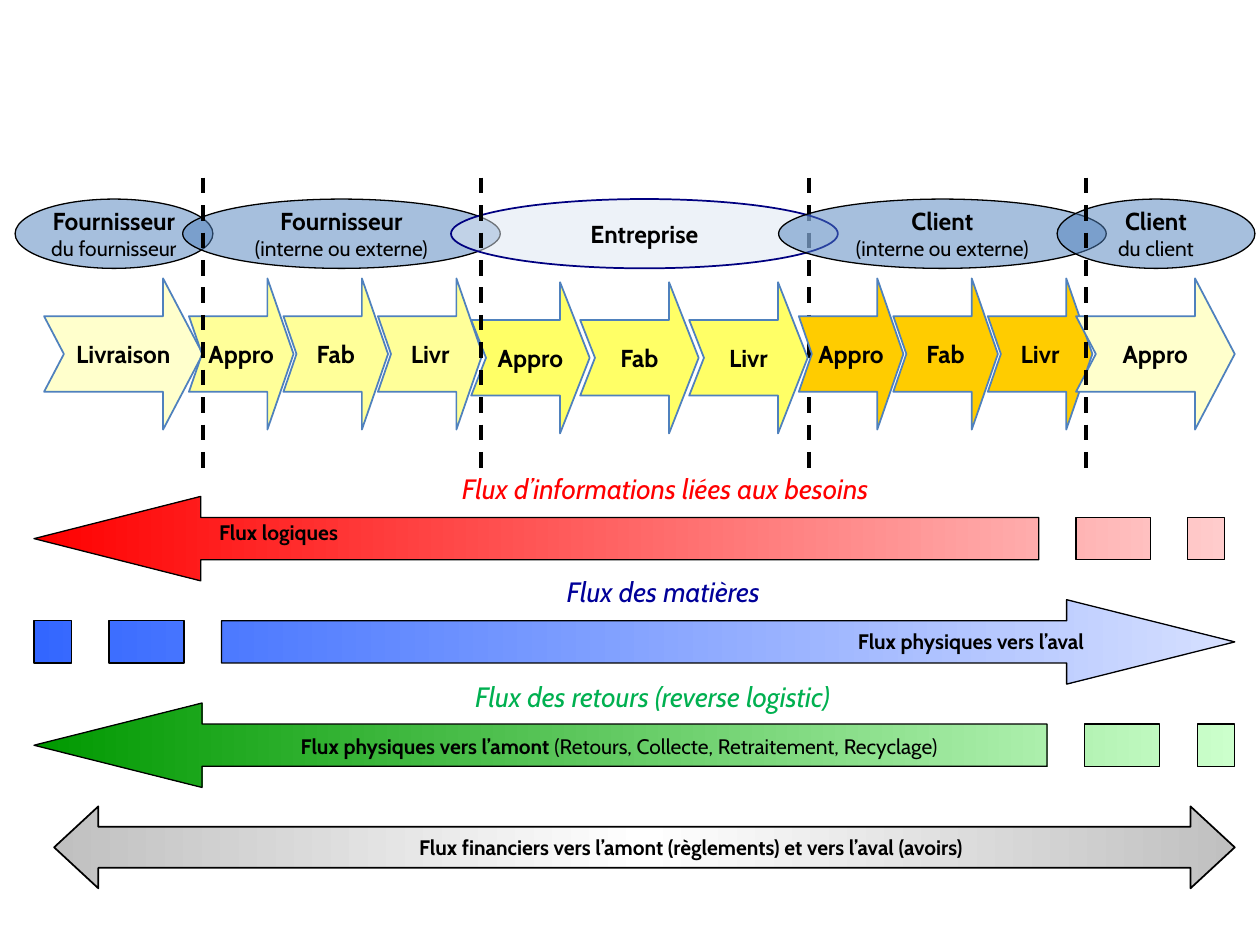
from dataclasses import dataclass
from typing import NamedTuple

from lxml.etree import SubElement
from pptx import Presentation
from pptx.dml.color import RGBColor
from pptx.enum.dml import MSO_LINE_DASH_STYLE as Dash
from pptx.enum.shapes import MSO_CONNECTOR, MSO_SHAPE as Shape
from pptx.enum.text import MSO_ANCHOR as Anchor, PP_ALIGN as Align
from pptx.oxml.ns import qn
from pptx.util import Inches, Pt


@dataclass(frozen=True)
class Theme:
    font: str = "Cabin"
    title: int = 16
    name: int = 14
    label: int = 12
    black: str = "000000"
    blue: str = "4F81BD"
    pale_blue: str = "DCE6F2"
    navy: str = "000080"


T = Theme()


class Run(NamedTuple):
    text: str
    size: int
    bold: bool = False
    italic: bool = False
    color: str = T.black


class Box(NamedTuple):
    x: float
    y: float
    w: float
    h: float


class Actor(NamedTuple):
    x: float
    w: float
    name: str
    detail: str = ""
    fill: str = T.blue
    line: str = T.black
    line_width: float = 0.75


class Stage(NamedTuple):
    x: float
    y: float
    w: float
    pitch: float
    steps: tuple[str, ...]
    fill: str


class Flow(NamedTuple):
    y: float
    w: float
    to_left: bool
    stops: tuple[str, ...]
    title: str
    title_color: str
    title_box: Box
    title_align: Align
    label: tuple[Run, ...]
    label_box: Box
    label_align: Align


ACTORS = (
    Actor(0.12, 1.57, "Fournisseur", "du fournisseur"),
    Actor(1.45, 2.52, "Fournisseur", "(interne ou externe)"),
    Actor(3.58, 3.07, "Entreprise", "", T.pale_blue, T.navy, 1),
    Actor(6.18, 2.6, "Client", "(interne ou externe)"),
    Actor(8.39, 1.57, "Client", "du client"),
)
CHAIN = ("Appro", "Fab", "Livr")
STAGES = (
    Stage(0.35, 2.21, 1.26, 0, ("Livraison",), "FFFFCC"),
    Stage(1.5, 2.21, 0.83, 0.75, CHAIN, "FFFF99"),
    Stage(3.74, 2.24, 0.94, 0.865, CHAIN, "FFFF66"),
    Stage(6.34, 2.21, 0.83, 0.75, CHAIN, "FFCC00"),
    Stage(8.54, 2.21, 1.26, 0, ("Appro",), "FFFFCC"),
)
FLOWS = (
    Flow(4.76, 9.53, False, ("3366FF", "D6E0FF"), "Flux des matières", "000099",
         Box(4.21, 4.51, 1.92, 0.37), Align.RIGHT,
         (Run("Flux physiques vers l’aval", T.label, True),),
         Box(6.71, 4.94, 2.35, 0.3), Align.LEFT),
    Flow(3.94, 9.45, True, ("FF0000", "FFCCCC"),
         "Flux d’informations liées aux besoins", "FF0000",
         Box(2.88, 3.69, 4.8, 0.37), Align.CENTER,
         (Run("Flux logiques", T.label, True),),
         Box(1.64, 4.07, 1.31, 0.3), Align.LEFT),
    Flow(5.58, 9.53, True, ("009900", "CCFFCC"),
         "Flux des retours (reverse logistic)", "00B050",
         Box(2.76, 5.34, 4.84, 0.37), Align.CENTER,
         (Run("Flux physiques vers l’amont ", T.label, True),
          Run("(Retours, Collecte, Retraitement, Recyclage)", T.label)),
         Box(1.65, 5.77, 6.53, 0.3), Align.CENTER),
)


def write(s, paragraphs, align=Align.CENTER, wrap=False) -> None:
    tf = s.text_frame
    tf.word_wrap, tf.vertical_anchor = wrap, Anchor.MIDDLE
    for i, runs in enumerate(paragraphs):
        p = tf.paragraphs[0] if i == 0 else tf.add_paragraph()
        p.alignment = align
        for run in runs:
            r = p.add_run()
            r.text = run.text
            style = {"name": T.font, "size": Pt(run.size),
                     "bold": run.bold, "italic": run.italic}
            for key, value in style.items():
                setattr(r.font, key, value)
            r.font.color.rgb = RGBColor.from_string(run.color)


def outline(s, color: str, width: float) -> None:
    s.shadow.inherit = False
    s.line.color.rgb = RGBColor.from_string(color)
    s.line.width = Pt(width)


def solid(s, color: str, alpha: int = 100) -> None:
    s.fill.solid()
    s.fill.fore_color.rgb = RGBColor.from_string(color)
    if alpha < 100:
        clr = s._element.spPr.find(qn("a:solidFill"))[0]
        SubElement(clr, qn("a:alpha"), val=str(alpha * 1000))


def gradient(s, colors: tuple[str, ...]) -> None:
    s.fill.gradient()
    s.fill.gradient_angle = 0
    stops = s._element.spPr.find(qn("a:gradFill")).find(qn("a:gsLst"))
    for stop in list(stops):
        stops.remove(stop)
    for i, color in enumerate(colors):
        gs = SubElement(stops, qn("a:gs"), pos=str(100000 * i // (len(colors) - 1)))
        SubElement(gs, qn("a:srgbClr"), val=color)


def add_preset(shapes, kind: Shape, box: Box):
    return shapes.add_shape(kind, *map(Inches, box))


def add_text(shapes, box: Box, runs, align: Align) -> None:
    write(shapes.add_textbox(*map(Inches, box)), [runs], align, wrap=True)


def add_border(shapes, x: float) -> None:
    s = shapes.add_connector(MSO_CONNECTOR.STRAIGHT, Inches(x), Inches(1.41),
                             Inches(x), Inches(3.77))
    s.line.color.rgb = RGBColor.from_string(T.black)
    s.line.width, s.line.dash_style = Pt(2.25), Dash.DASH
    SubElement(s._element.spPr, qn("a:effectLst"))


def add_actor(shapes, a: Actor) -> None:
    s = add_preset(shapes, Shape.OVAL, Box(a.x, 1.58, a.w, 0.55))
    solid(s, a.fill, 50)
    outline(s, a.line, a.line_width)
    lines = [[Run(a.name, T.name, True)]]
    if a.detail:
        lines.append([Run(a.detail, T.label)])
    write(s, lines)


def add_stage(shapes, stage: Stage) -> None:
    height = 1.2
    for i, step in enumerate(stage.steps):
        box = Box(stage.x + i * stage.pitch, stage.y, stage.w, height)
        s = add_preset(shapes, Shape.NOTCHED_RIGHT_ARROW, box)
        s.adjustments[1] = stage.w / 4 / min(stage.w, height)
        solid(s, stage.fill)
        outline(s, T.blue, 1)
        write(s, [[Run(step, T.name, True)]])


def add_flow(shapes, f: Flow) -> None:
    left, height, unit, head = 0.27, 0.67, f.w / 32, 0.14 * f.w
    top, bottom = height / 4, height * 3 / 4

    def place(points):
        """Turn distances from the tip into slide positions."""
        return [(Inches(left + (d if f.to_left else f.w - d)), Inches(f.y + y))
                for d, y in points]

    end = f.w - 5 * unit
    arrow = [(0, height / 2), (head, 0), (head, top), (end, top),
             (end, bottom), (head, bottom), (head, height)]
    stripes = [[(a, top), (b, top), (b, bottom), (a, bottom)]
               for a, b in ((f.w - 4 * unit, f.w - 2 * unit), (f.w - unit, f.w))]
    first, *rest = place(arrow)
    builder = shapes.build_freeform(*first, scale=1.0)
    builder.add_line_segments(rest, close=True)
    for stripe in stripes:
        first, *rest = place(stripe)
        builder.move_to(*first)
        builder.add_line_segments(rest, close=True)
    s = builder.convert_to_shape()
    gradient(s, f.stops)
    outline(s, T.black, 0.75)
    title = Run(f.title, T.title, italic=True, color=f.title_color)
    add_text(shapes, f.title_box, [title], f.title_align)
    add_text(shapes, f.label_box, f.label, f.label_align)


def add_finance(shapes) -> None:
    s = add_preset(shapes, Shape.LEFT_RIGHT_ARROW, Box(0.43, 6.4, 9.37, 0.65))
    s.adjustments[1] = 0.54
    gradient(s, ("C0C0C0", "FFFFFF", "C0C0C0"))
    outline(s, T.black, 1)
    s.text_frame.margin_left = Inches(0.84)
    text = "Flux financiers vers l’amont (règlements) et vers l’aval (avoirs)"
    write(s, [[Run(text, T.label, True)]], wrap=True)


def main() -> None:
    prs = Presentation()
    prs.slide_width, prs.slide_height = Inches(10), Inches(7.5)
    shapes = prs.slides.add_slide(prs.slide_layouts[6]).shapes

    # Supply chain: this border lies behind the actors and stages
    add_border(shapes, 6.42)
    for actor in ACTORS:
        add_actor(shapes, actor)
    for stage in STAGES:
        add_stage(shapes, stage)
    for x in (1.61, 3.82, 8.62):
        add_border(shapes, x)

    # Flows along the chain
    for flow in FLOWS:
        add_flow(shapes, flow)
    add_finance(shapes)
    prs.save("out.pptx")


if __name__ == "__main__":
    main()
